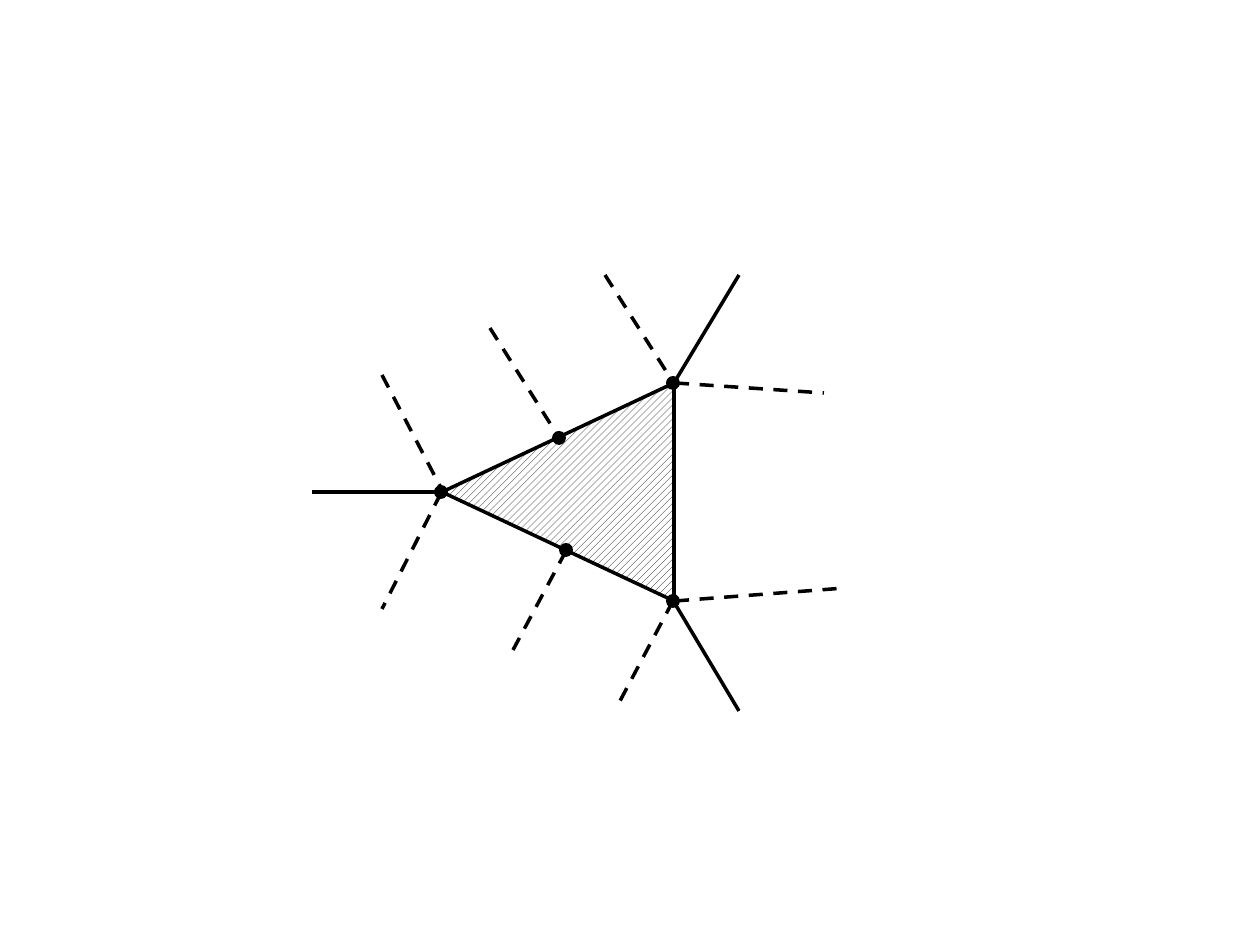
import pptx
import pptx.util
import pptx.dml.color
import pptx.enum.dml
import pptx.enum.shapes
import pptx.oxml.ns
import lxml.etree

PIXEL = 914400 / 126
BLACK = "000000"
WHITE = "FFFFFF"
DOT_SIZE = 14

VERTICES = [(441, 492), (673, 601), (673, 383)]
EDGE_POINTS = [(559, 438), (566, 550)]
SOLID_LEGS = [
    ((312, 492), (441, 492)),
    ((739, 275), (674, 383)),
    ((739, 711), (674, 602)),
]
DASHED_LEGS = [
    ((382, 375), (441, 488)),
    ((605, 275), (673, 382)),
    ((441, 493), (382, 609)),
    ((673, 601), (620, 701)),
    ((675, 383), (824, 393)),
    ((675, 601), (845, 588)),
    ((490, 328), (558, 436)),
    ((566, 551), (513, 650)),
]


def emu(pixels):
    return pptx.util.Emu(round(pixels * PIXEL))


def colour(value):
    return pptx.dml.color.RGBColor.from_string(value)


def style_line(line):
    line.color.rgb = colour(BLACK)
    line.width = pptx.util.Pt(2)


def add_shape(page, kind, left, top, width, height):
    shape = page.shapes.add_shape(kind, emu(left), emu(top), emu(width), emu(height))
    shape.shadow.inherit = False
    return shape


def add_hatched_triangle(page, left, top, width, height):
    kind = pptx.enum.shapes.MSO_SHAPE.ISOSCELES_TRIANGLE
    triangle = add_shape(page, kind, left, top, width, height)
    triangle.rotation = 270
    triangle.fill.patterned()
    triangle.fill.pattern = pptx.enum.dml.MSO_PATTERN.WIDE_UPWARD_DIAGONAL
    triangle.fill.fore_color.rgb = colour(BLACK)
    triangle.fill.back_color.rgb = colour(WHITE)
    style_line(triangle.line)


def add_dot(page, center):
    left, top = (value - DOT_SIZE / 2 for value in center)
    kind = pptx.enum.shapes.MSO_SHAPE.OVAL
    dot = add_shape(page, kind, left, top, DOT_SIZE, DOT_SIZE)
    dot.fill.solid()
    dot.fill.fore_color.rgb = colour(BLACK)
    dot.line.fill.background()


def add_leg(page, start, end, dashed):
    kind = pptx.enum.shapes.MSO_CONNECTOR.STRAIGHT
    leg = page.shapes.add_connector(kind, *map(emu, start + end))
    style_line(leg.line)
    if dashed:
        leg.line.dash_style = pptx.enum.dml.MSO_LINE.DASH
    properties = leg._element.spPr
    lxml.etree.SubElement(properties, pptx.oxml.ns.qn("a:effectLst"))


def main():
    deck = pptx.Presentation()
    deck.slide_width = emu(1260)
    deck.slide_height = emu(945)
    page = deck.slides.add_slide(deck.slide_layouts[6])
    add_hatched_triangle(page, 449, 376, 218, 232)
    for center in VERTICES + EDGE_POINTS:
        add_dot(page, center)
    for legs, dashed in ((SOLID_LEGS, False), (DASHED_LEGS, True)):
        for start, end in legs:
            add_leg(page, start, end, dashed)
    deck.save("out.pptx")


main()
